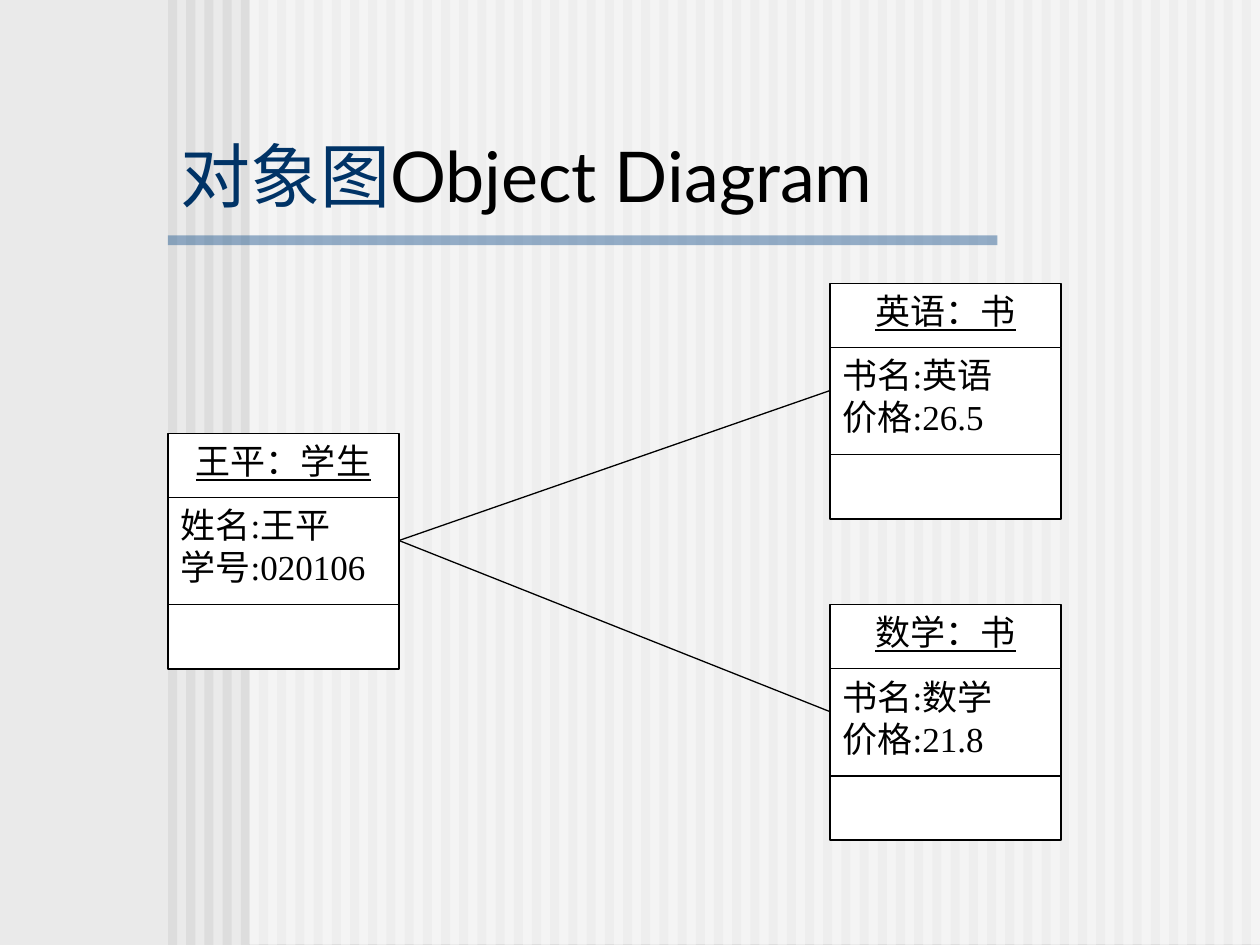
from pptx import Presentation
from pptx.dml.color import RGBColor
from pptx.enum.shapes import MSO_CONNECTOR, MSO_SHAPE
from pptx.enum.text import MSO_ANCHOR, MSO_AUTO_SIZE, PP_ALIGN
from pptx.oxml.ns import qn
from pptx.util import Pt
from lxml.etree import SubElement

BLACK = RGBColor(0x00, 0x00, 0x00)
WHITE = RGBColor(0xFF, 0xFF, 0xFF)
PALE = RGBColor(0xEA, 0xEA, 0xEA)
STRIPE = RGBColor(0xDD, 0xDD, 0xDD)
BLUE = RGBColor(0x33, 0x66, 0x99)
NAVY = RGBColor(0x00, 0x33, 0x66)

LEFT = 96
BOX_W = 132
NAME_H, VALUES_H, EMPTY_H = 36.7, 61.2, 36.7


def add_rect(x, y, w, h, fill, alpha=None, line=None):
    """Add a plain rectangle; alpha is its opacity in percent."""
    sp = s.shapes.add_shape(MSO_SHAPE.RECTANGLE, Pt(x), Pt(y), Pt(w), Pt(h))
    sp.shadow.inherit = False
    sp.fill.solid()
    sp.fill.fore_color.rgb = fill
    if alpha:
        color = sp.fill._xPr.find(qn("a:solidFill"))[0]
        SubElement(color, qn("a:alpha"), val=str(alpha * 1000))
    if line is None:
        sp.line.fill.background()
    else:
        sp.line.color.rgb = line
        sp.line.width = Pt(0.75)
    return sp


def write(p, text, font="Times New Roman", size=20, color=BLACK,
          underline=None, align=PP_ALIGN.LEFT):
    p.alignment = align
    r = p.add_run()
    r.text = text
    r.font.name = font
    r.font.size = Pt(size)
    r.font.color.rgb = color
    r.font.underline = underline


prs = Presentation()
prs.slide_width, prs.slide_height = Pt(720), Pt(540)
s = prs.slides.add_slide(prs.slide_layouts[5])
s.background.fill.solid()
s.background.fill.fore_color.rgb = PALE

# Striped backdrop, veil and title rule
for i in range(60):
    add_rect(LEFT + i * 10.4, 0, 5.2, 540, STRIPE)
add_rect(142.5, 0, 577.5, 539.5, WHITE, alpha=50)
add_rect(LEFT, 134.5, 474, 5.6, BLUE, alpha=50)

# Title, brought in front of the backdrop
title = s.shapes.title
title.element.getparent().append(title.element)
title.left, title.top, title.width, title.height = Pt(LEFT), Pt(78), Pt(528), Pt(49.5)
tf = title.text_frame
tf.auto_size = MSO_AUTO_SIZE.NONE
tf.vertical_anchor = MSO_ANCHOR.BOTTOM
write(tf.paragraphs[0], "对象图", font="Arial", size=40, color=NAVY)
write(tf.paragraphs[0], "Object Diagram", font="Lato", size=40)

# Objects: left, top, name, attribute values
objects = [
    (LEFT, 247.7, "王平：学生", ["姓名:王平", "学号:020106"]),
    (474.3, 162, "英语：书", ["书名:英语", "价格:26.5"]),
    (474.3, 345.5, "数学：书", ["书名:数学", "价格:21.8"]),
]
for x, y, name, values in objects:
    parts = [(NAME_H, [name], True, PP_ALIGN.CENTER),
             (VALUES_H, values, None, PP_ALIGN.JUSTIFY),
             (EMPTY_H, [], None, PP_ALIGN.LEFT)]
    for h, lines, underline, align in parts:
        sp = add_rect(x, y, BOX_W, h, WHITE, line=BLACK)
        tf = sp.text_frame
        tf.word_wrap = True
        tf.vertical_anchor = MSO_ANCHOR.TOP
        for i, text in enumerate(lines):
            p = tf.add_paragraph() if i else tf.paragraphs[0]
            write(p, text, underline=underline, align=align)
        y += h

# Links from the student to each book, at the middle of the values
middle = NAME_H + VALUES_H * 0.4
student_x, student_y = objects[0][:2]
for book_x, book_y, *_ in objects[1:]:
    link = s.shapes.add_connector(
        MSO_CONNECTOR.STRAIGHT, Pt(student_x + BOX_W), Pt(student_y + middle),
        Pt(book_x), Pt(book_y + middle))
    link.line.color.rgb = BLACK
    link.line.width = Pt(0.75)
    SubElement(link.element.spPr, qn("a:effectLst"))

prs.save("out.pptx")
